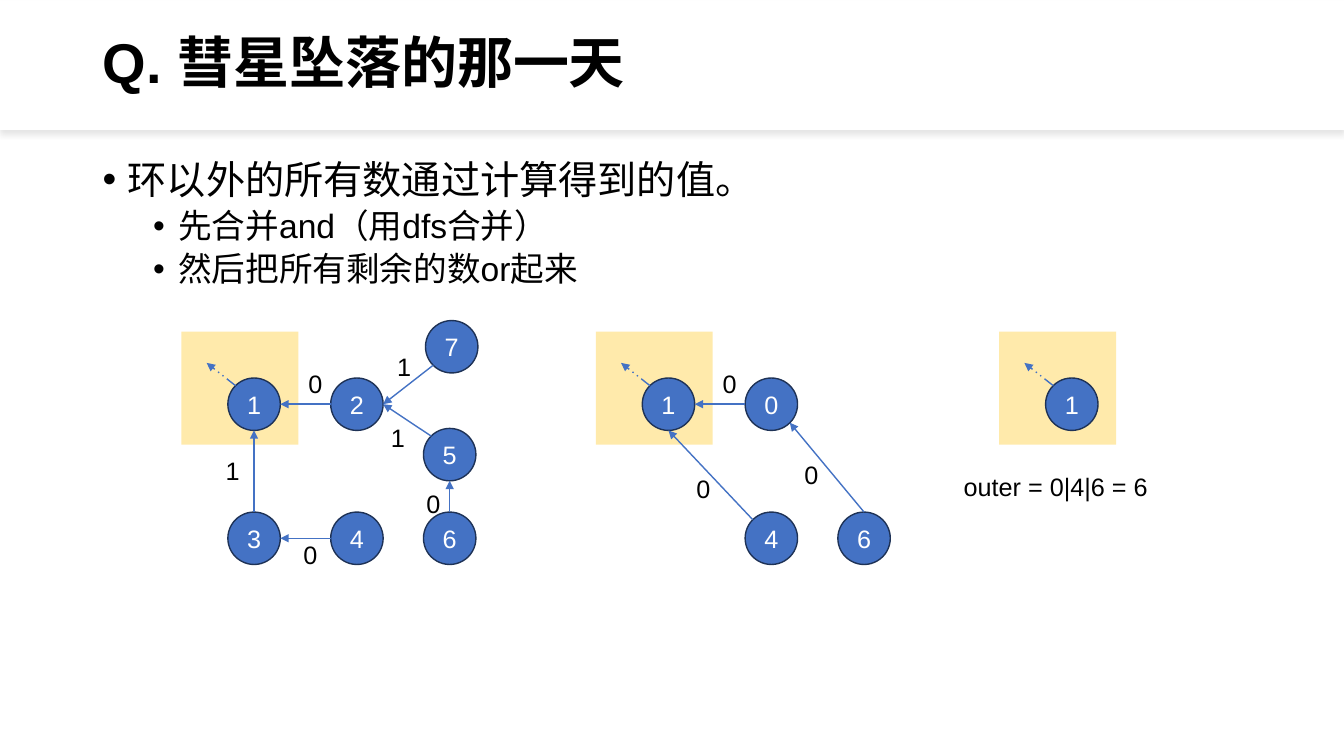
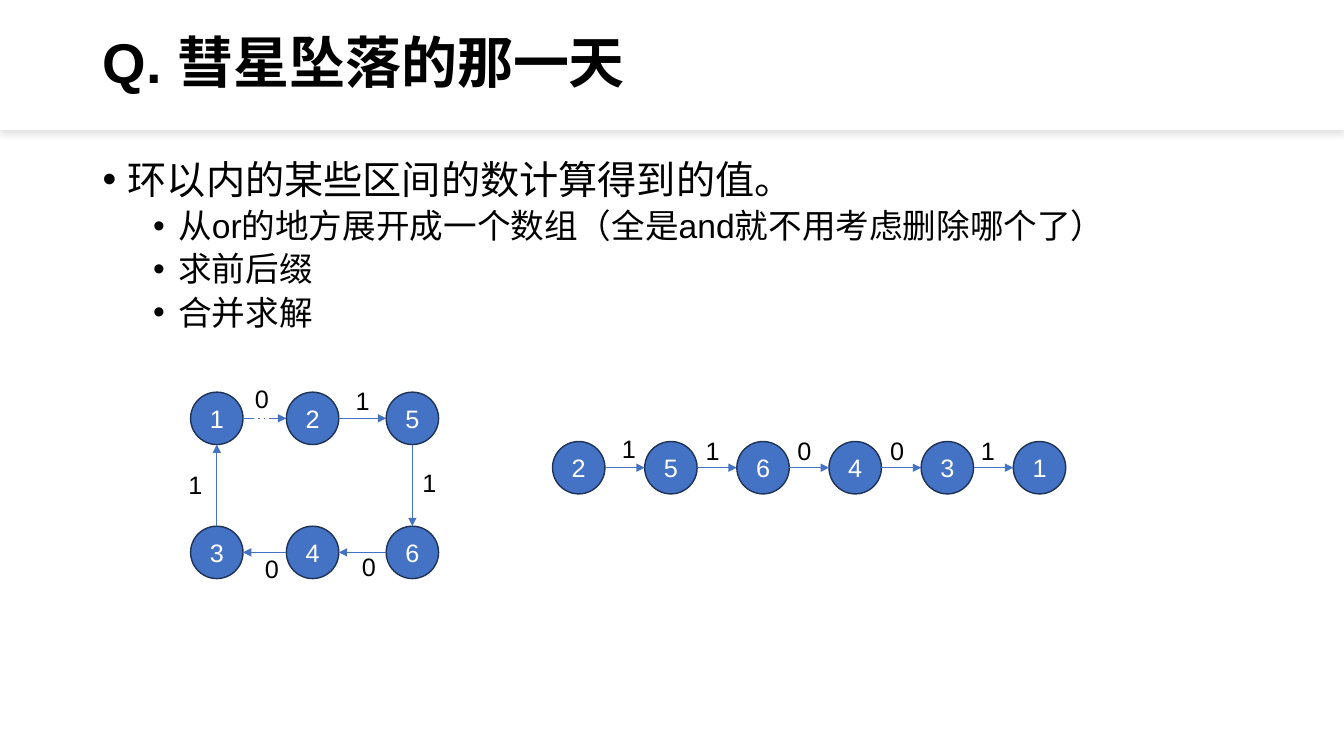
from dataclasses import dataclass
from enum import IntEnum
from math import cos, pi, sin

from lxml.etree import SubElement
from pptx import Presentation
from pptx.dml.color import RGBColor
from pptx.enum.dml import MSO_LINE
from pptx.enum.shapes import MSO_CONNECTOR, MSO_SHAPE
from pptx.enum.text import MSO_ANCHOR, PP_ALIGN
from pptx.oxml.ns import qn
from pptx.util import Inches, Pt

BLACK = RGBColor(0x00, 0x00, 0x00)
WHITE = RGBColor(0xFF, 0xFF, 0xFF)
BLUE = RGBColor(0x44, 0x72, 0xC4)
NAVY = RGBColor(0x1E, 0x32, 0x56)
AMBER = RGBColor(0xFF, 0xC0, 0x00)

FONT = "Arial"
TITLE = "Q. 彗星坠落的那一天"
NODE_SIZE = 0.52
LABEL_W, LABEL_H = 0.34, 0.4
COLUMNS = (0.46, 1.48, 2.4)
ROWS = (0.46, 1.79)
GRAPH_TOP = 3.29
CHAIN_STEP = 4.57 / 5


class Site(IntEnum):
    """Connection sites of an ellipse, counterclockwise from the top."""
    TOP = 0
    TOP_LEFT = 1
    LEFT = 2
    BOTTOM_LEFT = 3
    BOTTOM = 4
    BOTTOM_RIGHT = 5
    RIGHT = 6


@dataclass(frozen=True)
class Node:
    name: str
    x: float
    y: float

    def site(self, site: Site) -> tuple[float, float]:
        angle = pi / 2 + site * pi / 4
        r = NODE_SIZE / 2
        return self.x + r + r * cos(angle), self.y + r - r * sin(angle)


@dataclass(frozen=True)
class Edge:
    start: str
    start_site: Site
    end: str
    end_site: Site
    label: str
    label_x: float
    label_y: float
    dashed: bool = False


@dataclass(frozen=True)
class Graph:
    """Nodes and labels are placed relative to the graph's left and top."""
    left: float
    top: float
    nodes: list[Node]
    edges: list[Edge]
    on_cycle: bool = False


def style(p, size: int, color: RGBColor = BLACK, bold: bool = False) -> None:
    p.font.name, p.font.size, p.font.bold = FONT, Pt(size), bold
    p.font.color.rgb = color


def add_text(shapes, x: float, y: float, w: float, text: str) -> None:
    tf = shapes.add_textbox(Inches(x), Inches(y), Inches(w), Inches(LABEL_H)).text_frame
    tf.word_wrap = False
    tf.text = text
    style(tf.paragraphs[0], 18)


def add_node(shapes, node: Node, left: float, top: float):
    sp = shapes.add_shape(MSO_SHAPE.OVAL, Inches(left + node.x), Inches(top + node.y),
                          Inches(NODE_SIZE), Inches(NODE_SIZE))
    sp.shadow.inherit = False
    sp.fill.solid()
    sp.fill.fore_color.rgb = BLUE
    sp.line.color.rgb = NAVY
    sp.line.width = Pt(1)
    tf = sp.text_frame
    tf.margin_left = tf.margin_right = 0
    tf.vertical_anchor = MSO_ANCHOR.MIDDLE
    tf.text = node.name
    p = tf.paragraphs[0]
    p.alignment = PP_ALIGN.CENTER
    style(p, 18, WHITE)
    return sp


def add_arrow(shapes, start: tuple[float, float], end: tuple[float, float],
              left: float, top: float, dashed: bool = False):
    arrow = shapes.add_connector(MSO_CONNECTOR.STRAIGHT,
                                 Inches(left + start[0]), Inches(top + start[1]),
                                 Inches(left + end[0]), Inches(top + end[1]))
    arrow.line.color.rgb = BLUE
    arrow.line.width = Pt(1)
    if dashed:
        arrow.line.dash_style = MSO_LINE.DASH_DOT_DOT
    sp_pr = arrow.element.spPr
    SubElement(sp_pr.find(qn("a:ln")), qn("a:tailEnd"), type="triangle")
    SubElement(sp_pr, qn("a:effectLst"))
    return arrow


def glue(arrow, tag: str, shape, site: Site) -> None:
    """Join an arrow to any of an ellipse's eight sites."""
    SubElement(arrow.element.nvCxnSpPr.cNvCxnSpPr, qn(tag),
               id=str(shape.shape_id), idx=str(int(site)))


def add_cycle_area(shapes, left: float, top: float) -> None:
    sp = shapes.add_shape(MSO_SHAPE.RECTANGLE, Inches(left), Inches(top),
                          Inches(1.16), Inches(1.12))
    sp.shadow.inherit = False
    sp.fill.solid()
    sp.fill.fore_color.rgb = AMBER
    SubElement(sp.element.spPr.find(".//" + qn("a:srgbClr")), qn("a:alpha"), val="33000")
    sp.line.fill.background()


def add_graph(s, graph: Graph) -> None:
    shapes = s.shapes.add_group_shape().shapes
    origin = graph.left, graph.top
    if graph.on_cycle:
        add_cycle_area(shapes, *origin)
    nodes = {node.name: node for node in graph.nodes}
    ovals = {node.name: add_node(shapes, node, *origin) for node in graph.nodes}
    if graph.on_cycle:
        arrow = add_arrow(shapes, nodes["1"].site(Site.TOP_LEFT), (0.25, 0.31), *origin, dashed=True)
        glue(arrow, "a:stCxn", ovals["1"], Site.TOP_LEFT)
    for e in graph.edges:
        arrow = add_arrow(shapes, nodes[e.start].site(e.start_site),
                          nodes[e.end].site(e.end_site), *origin, dashed=e.dashed)
        glue(arrow, "a:stCxn", ovals[e.start], e.start_site)
        glue(arrow, "a:endCxn", ovals[e.end], e.end_site)
        add_text(shapes, graph.left + e.label_x, graph.top + e.label_y, LABEL_W, e.label)


def add_header(s) -> None:
    band = s.shapes.add_shape(MSO_SHAPE.RECTANGLE, 0, Inches(0.01), Inches(13.33), Inches(1.28))
    band.fill.solid()
    band.fill.fore_color.rgb = WHITE
    band.line.fill.background()
    effects = SubElement(band.element.spPr, qn("a:effectLst"))
    shadow = SubElement(effects, qn("a:outerShdw"), blurRad=str(Pt(4)), dist=str(Pt(3)),
                        dir="5400000", algn="t", rotWithShape="0")
    color = SubElement(shadow, qn("a:srgbClr"), val=str(BLACK))
    SubElement(color, qn("a:alpha"), val="10000")

    tf = s.shapes.add_textbox(Inches(0.92), Inches(0.26), Inches(11.5), Inches(0.78)).text_frame
    tf.word_wrap = True
    tf.vertical_anchor = MSO_ANCHOR.MIDDLE
    tf.text = TITLE
    p = tf.paragraphs[0]
    p.line_spacing = 0.9
    style(p, 40, bold=True)


def add_bullets(s, heading: str, points: list[str]) -> None:
    tf = s.shapes.add_textbox(Inches(0.92), Inches(1.54), Inches(11.5), Inches(5.22)).text_frame
    tf.word_wrap = True
    tf.text = "\n".join([heading, *points])
    for i, p in enumerate(tf.paragraphs):
        level, indent, size, space = (1, 0.75, 24, 5) if i else (0, 0.25, 28, 10)
        p.level = level
        p.line_spacing = 0.9
        p.space_before = Pt(space)
        p_pr = p._p.get_or_add_pPr()
        p_pr.set("marL", str(Inches(indent)))
        p_pr.set("indent", str(Inches(-0.25)))
        SubElement(p_pr, qn("a:buFont"), typeface=FONT)
        SubElement(p_pr, qn("a:buChar"), char="•")
        style(p, size)


def add_slide(prs, heading: str, points: list[str], graphs: list[Graph]):
    s = prs.slides.add_slide(prs.slide_layouts[6])
    add_header(s)
    add_bullets(s, heading, points)
    for graph in graphs:
        add_graph(s, graph)
    return s


def outer_graphs() -> list[Graph]:
    (c1, c2, c3), (r1, r2) = COLUMNS, ROWS
    root = Node("1", c1, r1)
    tree = Graph(
        1.8, GRAPH_TOP,
        [root, Node("2", c2, r1), Node("3", c1, r2), Node("4", c2, r2),
         Node("5", c3, 0.96), Node("6", c3, r2), Node("7", 2.42, -0.11)],
        [Edge("2", Site.LEFT, "1", Site.RIGHT, "0", 1.16, 0.32),
         Edge("4", Site.LEFT, "3", Site.RIGHT, "0", 1.11, 2.01),
         Edge("3", Site.TOP, "1", Site.BOTTOM, "1", 0.34, 1.18),
         Edge("5", Site.TOP_LEFT, "2", Site.RIGHT, "1", 1.98, 0.85),
         Edge("6", Site.TOP, "5", Site.BOTTOM, "0", 2.33, 1.51),
         Edge("7", Site.BOTTOM_LEFT, "2", Site.RIGHT, "1", 2.04, 0.15)],
        on_cycle=True)
    merged = Graph(
        5.91, GRAPH_TOP,
        [root, Node("0", c2, r1), Node("4", c2, r2), Node("6", c3, r2)],
        [Edge("0", Site.LEFT, "1", Site.RIGHT, "0", 1.16, 0.32),
         Edge("4", Site.TOP_LEFT, "1", Site.BOTTOM, "0", 0.9, 1.36),
         Edge("6", Site.TOP, "0", Site.BOTTOM_RIGHT, "0", 1.97, 1.22)],
        on_cycle=True)
    return [tree, merged, Graph(9.91, GRAPH_TOP, [root], [], on_cycle=True)]


def cycle_graphs() -> list[Graph]:
    cycle = Graph(
        1.89, 3.89,
        [Node(name, x, y) for y, names in ((0, "125"), (1.33, "346"))
         for name, x in zip(names, (0, 0.95, 1.94))],
        [Edge("1", Site.RIGHT, "2", Site.LEFT, "0", 0.54, -0.14, dashed=True),
         Edge("2", Site.RIGHT, "5", Site.LEFT, "1", 1.54, -0.12),
         Edge("5", Site.BOTTOM, "6", Site.TOP, "1", 2.2, 0.7),
         Edge("6", Site.LEFT, "4", Site.RIGHT, "0", 1.6, 1.53),
         Edge("4", Site.LEFT, "3", Site.RIGHT, "0", 0.64, 1.55),
         Edge("3", Site.TOP, "1", Site.BOTTOM, "1", -0.12, 0.72)])
    order = "256431"
    labels = zip("11001", (0.59, 1.42, 2.33, 3.25, 4.15), (-0.13, *[-0.11] * 4))
    chain = Graph(
        5.48, 4.38,
        [Node(name, i * CHAIN_STEP, 0) for i, name in enumerate(order)],
        [Edge(a, Site.RIGHT, b, Site.LEFT, *label)
         for a, b, label in zip(order, order[1:], labels)])
    return [cycle, chain]


def main() -> None:
    prs = Presentation()
    prs.slide_width, prs.slide_height = Inches(13.33), Inches(7.5)
    s = add_slide(prs, "环以外的所有数通过计算得到的值。",
                  ["先合并and（用dfs合并）", "然后把所有剩余的数or起来"], outer_graphs())
    add_text(s.shapes, 9.46, 4.63, 2.04, "outer = 0|4|6 = 6")
    add_slide(prs, "环以内的某些区间的数计算得到的值。",
              ["从or的地方展开成一个数组（全是and就不用考虑删除哪个了）", "求前后缀", "合并求解"],
              cycle_graphs())
    prs.save("out.pptx")


if __name__ == "__main__":
    main()
